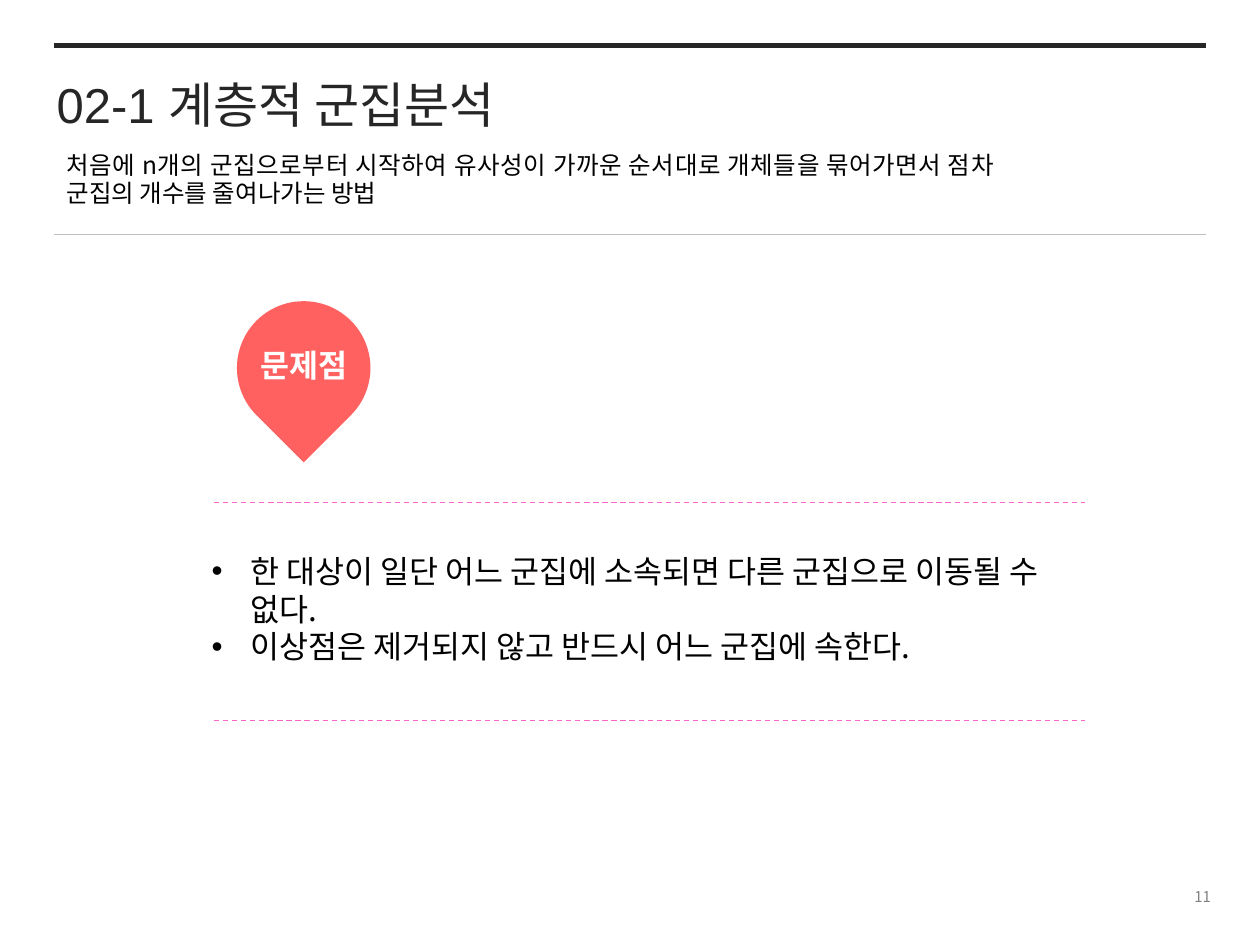
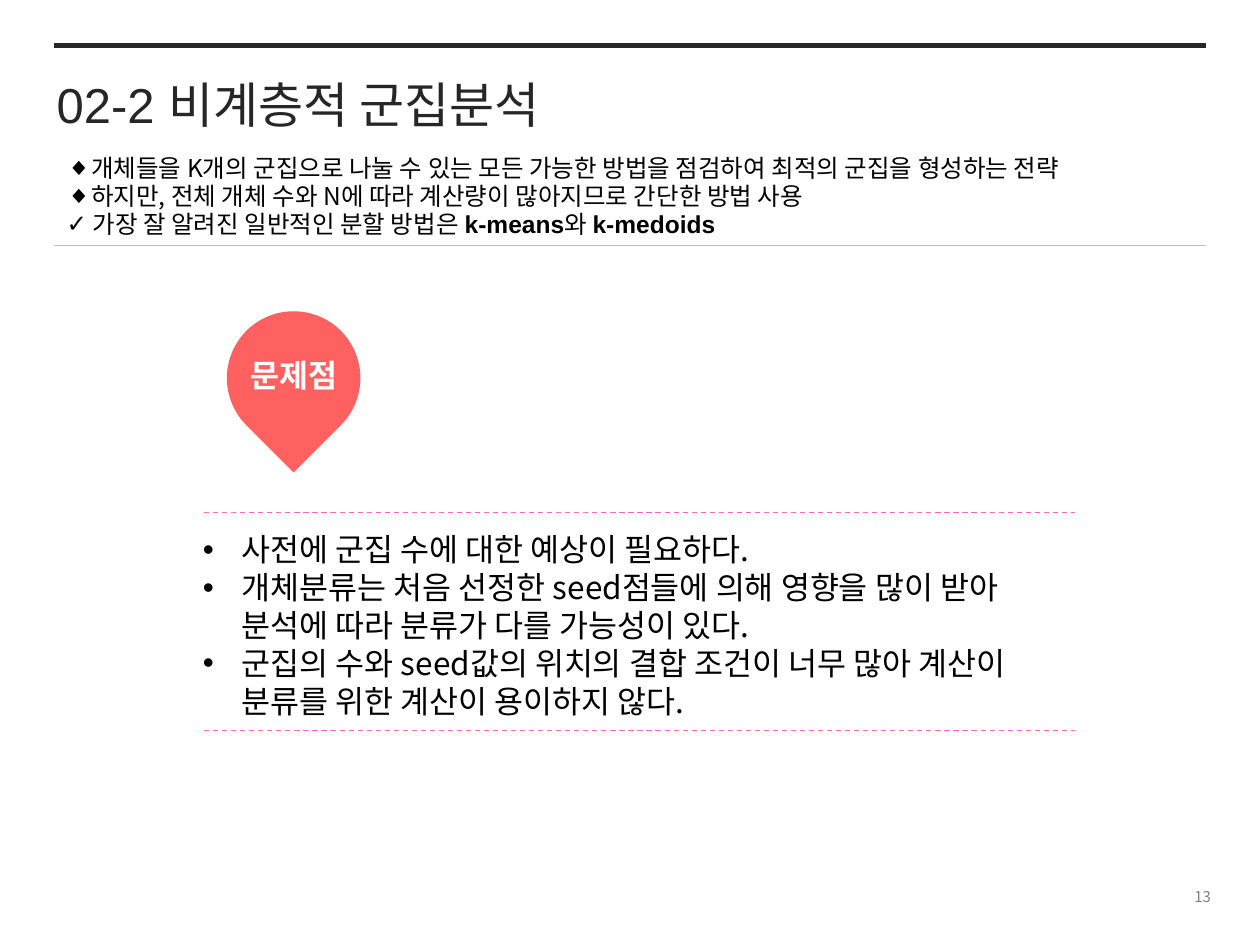
from lxml.etree import SubElement
from pptx import Presentation
from pptx.dml.color import RGBColor
from pptx.enum.dml import MSO_LINE_DASH_STYLE as Dash
from pptx.enum.shapes import MSO_CONNECTOR as Connector, MSO_SHAPE as Preset
from pptx.enum.text import MSO_ANCHOR as Anchor, MSO_AUTO_SIZE as AutoSize, PP_ALIGN as Align
from pptx.oxml.ns import qn
from pptx.util import Inches, Pt

COLORS = {
    "ink": "262626", "text": "000000", "rule": "BFBFBF", "page": "808080",
    "dash": "FF66CC", "drop": "FF5050", "white": "FFFFFF",
}
LATIN, KOREAN = "Arial", "Noto Sans CJK KR"


def color(name):
    """Return the named palette colour."""
    return RGBColor.from_string(COLORS[name])


def write(paragraph, text, *, size, font=KOREAN, ink="text", bold=False):
    """Add one formatted run to a paragraph."""
    run = paragraph.add_run()
    run.text = text
    run.font.size, run.font.bold, run.font.name = Pt(size), bold, font
    run.font.color.rgb = color(ink)
    SubElement(run.font._element, qn("a:ea"), typeface=KOREAN)


def set_bullet(paragraph, symbol, indent):
    """Give a paragraph a bullet with a hanging indent."""
    properties = paragraph._p.get_or_add_pPr()
    properties.set("marL", str(Inches(indent)))
    properties.set("indent", str(Inches(-indent)))
    SubElement(properties, qn("a:buFont"), typeface=LATIN)
    SubElement(properties, qn("a:buChar"), char=symbol)


class Deck:
    """Hold the shared style and the current slide."""

    def __init__(self):
        """Start an empty 4:3 presentation."""
        self.presentation = Presentation()
        self.presentation.slide_width = Inches(10)
        self.presentation.slide_height = Inches(7.5)
        self.slide = None

    def start(self, title, page, rule_top):
        """Add a slide with its title, rules and page number."""
        self.slide = self.presentation.slides.add_slide(self.presentation.slide_layouts[1])
        self.fill_text(self.slide.shapes.title, (0.35, 0.54, 7.56, 0.57), [title],
                       size=28, font=LATIN, ink="ink")
        self.line(0.43, 9.57, rule_top, "rule", 0.75)
        self.line(0.43, 9.57, 0.36, "ink", 3)
        self.text((7.6, 6.98, 2.11, 0.27), [page], align=Align.RIGHT,
                  anchor=Anchor.MIDDLE, size=8.5, ink="page")

    def fill_text(self, shape, box, paragraphs, *, align=Align.LEFT, anchor=Anchor.TOP,
                  spacing=1.0, bullets=None, indent=0, **style):
        """Place a shape and fill it; a paragraph is a string or (text, changes) runs."""
        shape.left, shape.top, shape.width, shape.height = map(Inches, box)
        frame = shape.text_frame
        frame.word_wrap, frame.auto_size, frame.vertical_anchor = True, AutoSize.NONE, anchor
        for index, content in enumerate(paragraphs):
            paragraph = frame.add_paragraph() if index else frame.paragraphs[0]
            paragraph.alignment, paragraph.line_spacing = align, spacing
            paragraph.space_before = Pt(0)
            if bullets:
                set_bullet(paragraph, bullets[index], indent)
            runs = [(content, {})] if isinstance(content, str) else content
            for text, changes in runs:
                write(paragraph, text, **{**style, **changes})

    def text(self, box, paragraphs, **style):
        """Add a text box."""
        shape = self.slide.shapes.add_textbox(*map(Inches, box))
        self.fill_text(shape, box, paragraphs, **style)

    def line(self, left, right, top, ink, width, dash=None):
        """Add a horizontal line."""
        line = self.slide.shapes.add_connector(
            Connector.STRAIGHT, Inches(left), Inches(top), Inches(right), Inches(top))
        line.line.color.rgb, line.line.width = color(ink), Pt(width)
        if dash:
            line.line.dash_style = dash
        SubElement(line._element.spPr, qn("a:effectLst"))

    def drop(self, left, top, size):
        """Add a slightly transparent drop that points down."""
        shape = self.slide.shapes.add_shape(
            Preset.TEAR, Inches(left), Inches(top), Inches(size), Inches(size))
        shape.rotation = 135
        shape.shadow.inherit = False
        shape.fill.solid()
        shape.fill.fore_color.rgb = color("drop")
        shape.line.fill.background()
        fill = shape._element.spPr.find(".//" + qn("a:srgbClr"))
        SubElement(fill, qn("a:alpha"), val="90000")

    def lede(self, box, paragraphs, **style):
        """Add the introduction under the title."""
        self.text(box, paragraphs, size=14, spacing=Pt(16), **style)

    def problems(self, left, top, list_box, items):
        """Add the problem marker and its list between dashed lines."""
        for offset in (1.6, 3.33):
            self.line(left - 0.18, left + 6.73, top + offset, "dash", 0.75, Dash.DASH)
        self.drop(left, top, 1.06)
        self.text((left + 0.01, top + 0.31, 1.05, 0.4), ["문제점"],
                  align=Align.CENTER, size=18, ink="white", bold=True)
        self.fill_text(self.slide.placeholders[1], list_box, items,
                       bullets="•" * len(items), indent=0.31, size=18)


def main():
    """Build both slides and save them."""
    deck = Deck()

    deck.start("02-1 계층적 군집분석", "11", 1.86)
    deck.lede((0.43, 1.15, 7.56, 0.55), [
        "처음에 n개의 군집으로부터 시작하여 유사성이 가까운 순서대로 개체들을 "
        "묶어가면서 점차 군집의 개수를 줄여나가는 방법",
    ], align=Align.JUSTIFY)
    deck.problems(1.88, 2.39, (1.58, 4.33, 7.24, 1.23), [
        "한 대상이 일단 어느 군집에 소속되면 다른 군집으로 이동될 수 없다.",
        "이상점은 제거되지 않고 반드시 어느 군집에 속한다.",
    ])

    deck.start("02-2 비계층적 군집분석", "13", 1.95)
    latin, strong = {"font": LATIN}, {"font": LATIN, "bold": True}
    deck.lede((0.43, 1.18, 8.98, 0.77), [
        "개체들을 K개의 군집으로 나눌 수 있는 모든 가능한 방법을 점검하여 최적의 군집을 형성하는 전략",
        "하지만, 전체 개체 수와 N에 따라 계산량이 많아지므로 간단한 방법 사용",
        [(" 가장 잘 알려진 일반적인 분할 방법은 ", latin), ("k-means", strong),
         ("와 ", latin), ("k-medoids", strong)],
    ], bullets="◆◆✓")
    deck.problems(1.8, 2.47, (1.51, 4.16, 7.24, 1.84), [
        "사전에 군집 수에 대한 예상이 필요하다.",
        "개체분류는 처음 선정한 seed점들에 의해 영향을 많이 받아 분석에 따라 분류가 다를 가능성이 있다.",
        "군집의 수와 seed값의 위치의 결합 조건이 너무 많아 계산이 분류를 위한 계산이 용이하지 않다.",
    ])

    deck.presentation.save("out.pptx")


if __name__ == "__main__":
    main()
